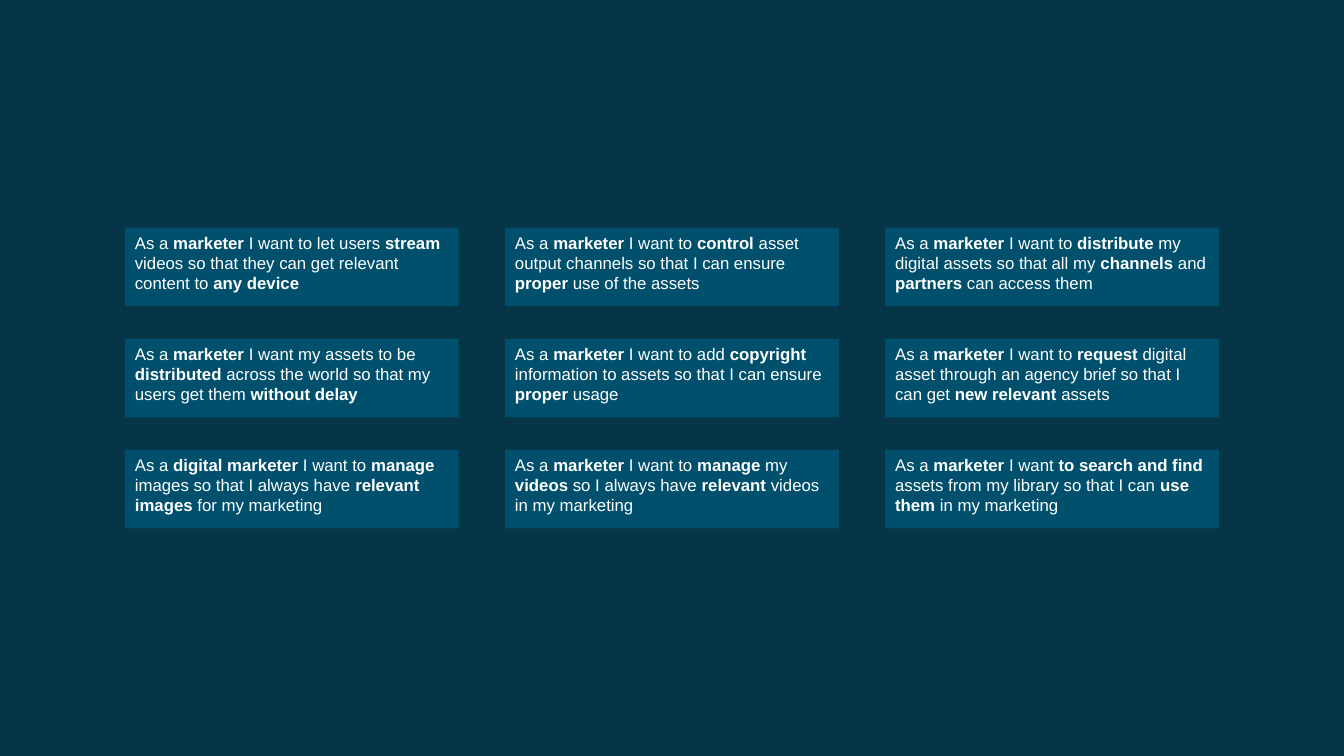
from dataclasses import dataclass

from pptx import Presentation
from pptx.dml.color import RGBColor
from pptx.enum.shapes import MSO_SHAPE
from pptx.enum.text import MSO_ANCHOR, PP_ALIGN
from pptx.util import Pt


@dataclass(frozen=True)
class Theme:
    background: RGBColor = RGBColor(0x05, 0x35, 0x46)
    card: RGBColor = RGBColor(0x00, 0x50, 0x6D)
    text: RGBColor = RGBColor(0xFF, 0xFF, 0xFF)
    font: str = "Arial"
    size: int = 12


@dataclass(frozen=True)
class Box:
    left: float
    top: float
    width: float
    height: float


THEME = Theme()
BOLD_MARK = "**"
CARD_WIDTH, CARD_HEIGHT = 238.4, 56.2
STORY_ROWS = [
    [
        "As a **marketer** I want to let users **stream** videos so that they can get relevant content to **any device**",
        "As a **marketer** I want to **control** asset output channels so that I can ensure **proper** use of the assets",
        "As a **marketer** I want to **distribute** my digital assets so that all my **channels** and **partners** can access them",
    ],
    [
        "As a **marketer** I want my assets to be **distributed** across the world so that my users get them **without delay**",
        "As a **marketer** I want to add **copyright** information to assets so that I can ensure **proper** usage",
        "As a **marketer** I want to **request** digital asset through an agency brief so that I can get **new relevant** assets",
    ],
    [
        "As a **digital marketer **I want to **manage **images so that I always have **relevant images** for my marketing",
        "As a **marketer** I want to **manage** my **videos** so I always have **relevant** videos in my marketing",
        "As a **marketer** I want **to search and find **assets from my library so that I can **use them** in my marketing",
    ],
]


def add_story_card(page, box, story):
    card = page.shapes.add_shape(
        MSO_SHAPE.RECTANGLE, Pt(box.left), Pt(box.top), Pt(box.width), Pt(box.height)
    )
    card.shadow.inherit = False
    card.fill.solid()
    card.fill.fore_color.rgb = THEME.card
    card.line.fill.background()
    frame = card.text_frame
    frame.word_wrap = True
    frame.vertical_anchor = MSO_ANCHOR.TOP
    para = frame.paragraphs[0]
    para.alignment = PP_ALIGN.LEFT
    for index, words in enumerate(story.split(BOLD_MARK)):
        if words:
            span = para.add_run()
            span.text = words
            span.font.name = THEME.font
            span.font.size = Pt(THEME.size)
            span.font.color.rgb = THEME.text
            span.font.bold = index % 2 == 1


def add_story_grid(page, box, rows):
    column_step = (box.width - CARD_WIDTH) / (len(rows[0]) - 1)
    row_step = (box.height - CARD_HEIGHT) / (len(rows) - 1)
    for row, stories in enumerate(rows):
        for column, story in enumerate(stories):
            card_box = Box(
                box.left + column * column_step,
                box.top + row * row_step,
                CARD_WIDTH,
                CARD_HEIGHT,
            )
            add_story_card(page, card_box, story)


def main():
    deck = Presentation()
    deck.slide_width, deck.slide_height = Pt(960), Pt(540)
    page = deck.slides.add_slide(deck.slide_layouts[6])
    page.background.fill.solid()
    page.background.fill.fore_color.rgb = THEME.background
    add_story_grid(page, Box(89.3, 162.5, 781.4, 215), STORY_ROWS)
    deck.save("out.pptx")


if __name__ == "__main__":
    main()
